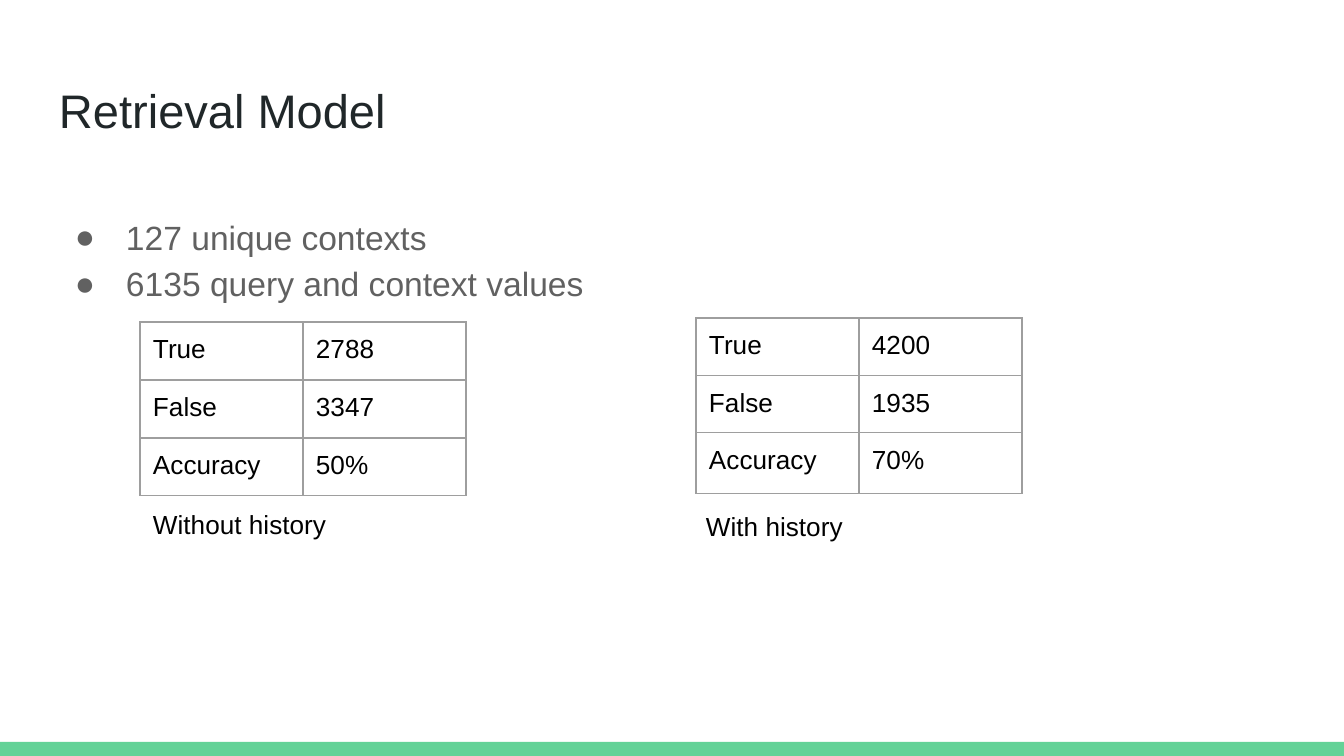
from pptx import Presentation
from pptx.dml.color import RGBColor as Rgb
from pptx.enum.shapes import MSO_SHAPE as Shape
from pptx.enum.text import MSO_ANCHOR as Anchor
from pptx.oxml import parse_xml
from pptx.oxml.ns import nsdecls
from pptx.util import Pt

TITLE = "Retrieval Model"
FACTS = ["127 unique contexts", "6135 query and context values"]
LABELS = ["True", "False", "Accuracy"]
RESULTS = [
    {"at": (140, 322), "rows": (58, 58, 56), "values": ["2788", "3347", "50%"],
     "note": "Without history", "note_at": (140, 495)},
    {"at": (696, 318), "rows": (57, 56, 61), "values": ["4200", "1935", "70%"],
     "note": "With history", "note_at": (693, 497)},
]
THEME = {
    "font": "Arial",
    "bar": "63D297",
    "grid": "9E9E9E",
    "title": {"size": 25.2, "color": "202729"},
    "body": {"size": 18, "color": "616161"},
    "cell": {"size": 14, "color": "000000"},
}
WIDE, HIGH = 1344, 756
SCALE = 914400 / 134.4
PAD, COL = 13, 163


def px(*nums):
    return [round(n * SCALE) for n in nums]


def margins():
    return {f"margin_{side}": px(PAD)[0] for side in ("left", "top", "right", "bottom")}


def apply(obj, values):
    for name, value in values.items():
        setattr(obj, name, value)


def write(frame, lines, style):
    """Fill a text frame, one paragraph per line, and return the paragraphs."""
    frame.text = "\n".join(lines)
    for para in frame.paragraphs:
        font = para.runs[0].font
        apply(font, {"name": THEME["font"], "size": Pt(style["size"])})
        font.color.rgb = Rgb.from_string(style["color"])
    return frame.paragraphs


def add_text(slide, box, lines, style, anchor=Anchor.TOP):
    frame = slide.shapes.add_textbox(*px(*box)).text_frame
    apply(frame, {"word_wrap": True, "vertical_anchor": anchor, **margins()})
    return write(frame, lines, style)


def add_bullet(para, color):
    para.line_spacing = 1.15
    props = para._p.get_or_add_pPr()
    left, indent = px(67, -51)
    apply_xml = {"marL": left, "indent": indent}
    for name, value in apply_xml.items():
        props.set(name, str(value))
    for xml in (
        f'<a:buClr {nsdecls("a")}><a:srgbClr val="{color}"/></a:buClr>',
        f'<a:buFont {nsdecls("a")} typeface="{THEME["font"]}"/>',
        f'<a:buChar {nsdecls("a")} char="●"/>',
    ):
        props.append(parse_xml(xml))


def add_border(cell):
    props = cell._tc.get_or_add_tcPr()
    for index, side in enumerate("LRTB"):
        props.insert(index, parse_xml(
            f'<a:ln{side} {nsdecls("a")} w="{Pt(0.75)}"><a:solidFill>'
            f'<a:srgbClr val="{THEME["grid"]}"/></a:solidFill></a:ln{side}>'))


def add_result(slide, item):
    """Draw one table of scores with its caption."""
    rows = list(zip(LABELS, item["values"]))
    box = px(*item["at"], 2 * COL, sum(item["rows"]))
    table = slide.shapes.add_table(len(rows), 2, *box).table
    apply(table, {"first_row": False, "horz_banding": False})
    for col in table.columns:
        col.width = px(COL)[0]
    for row, high, words in zip(table.rows, item["rows"], rows):
        row.height = px(high)[0]
        for cell, word in zip(row.cells, words):
            apply(cell, margins())
            cell.fill.background()
            write(cell.text_frame, [word], THEME["cell"])
            add_border(cell)
    add_text(slide, (*item["note_at"], 332, 59), [item["note"]], THEME["cell"])


def main():
    deck = Presentation()
    deck.slide_width, deck.slide_height = px(WIDE, HIGH)
    slide = deck.slides.add_slide(deck.slide_layouts[6])

    bar = slide.shapes.add_shape(Shape.RECTANGLE, *px(0, 742, WIDE, 14))
    bar.shadow.inherit = False
    bar.fill.solid()
    bar.fill.fore_color.rgb = Rgb.from_string(THEME["bar"])
    bar.line.fill.background()

    add_text(slide, (46, 66, 1252, 85), [TITLE], THEME["title"], Anchor.BOTTOM)
    for para in add_text(slide, (46, 198, 1252, 474), FACTS, THEME["body"]):
        add_bullet(para, THEME["body"]["color"])
    for item in RESULTS:
        add_result(slide, item)
    deck.save("out.pptx")


if __name__ == "__main__":
    main()
